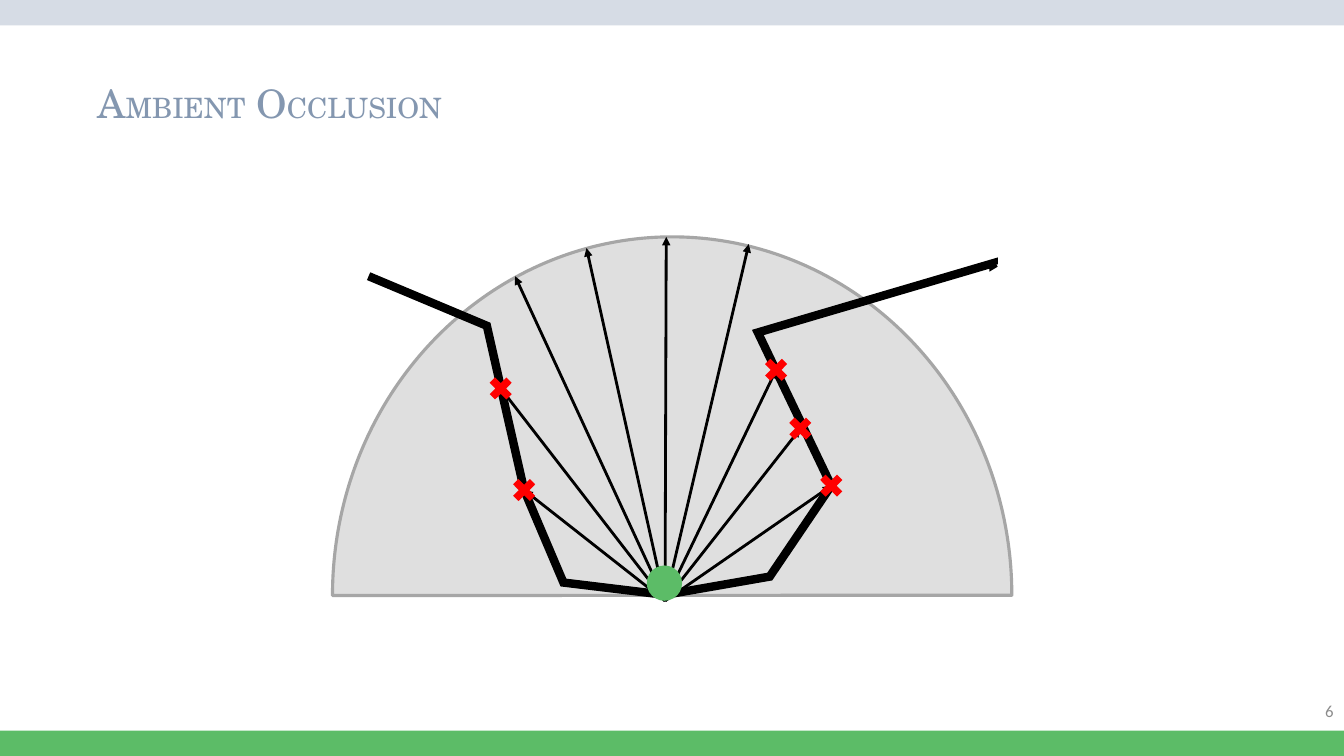
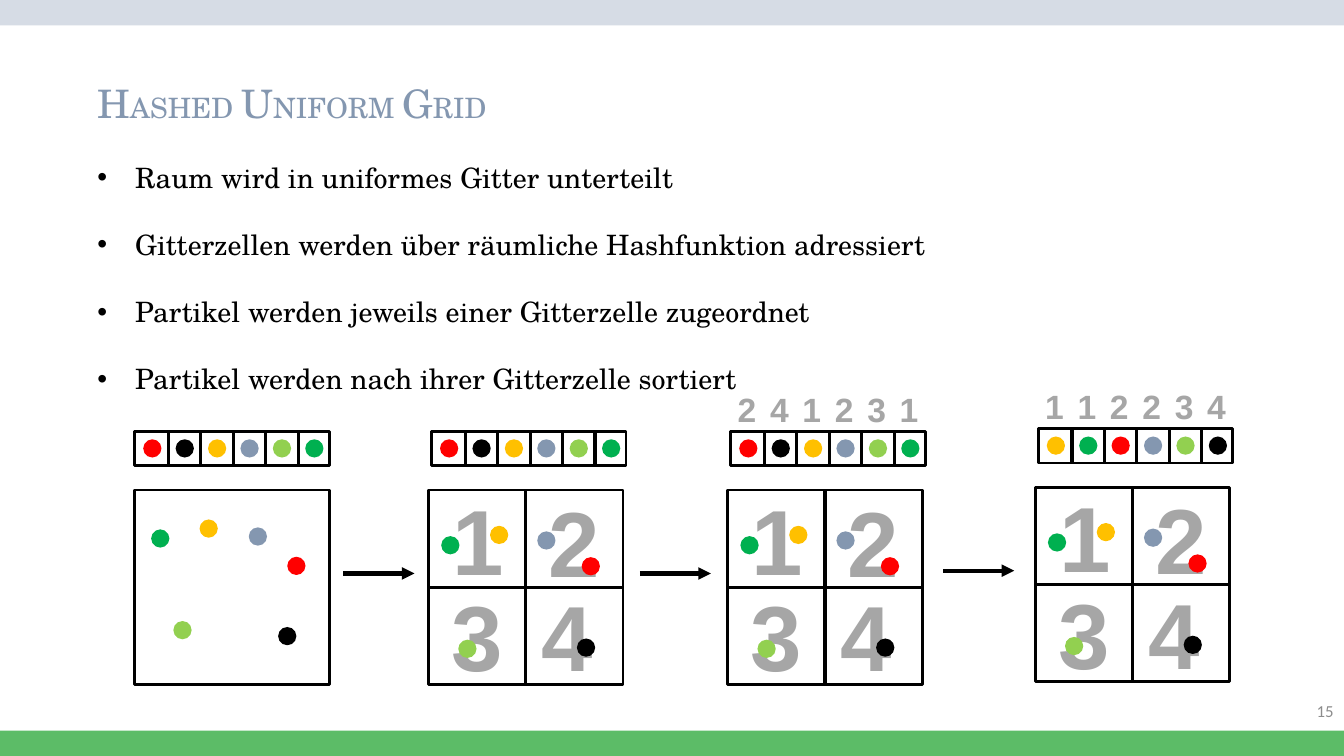
from dataclasses import dataclass

from lxml import etree
from pptx import Presentation
from pptx.dml.color import RGBColor as Rgb
from pptx.enum.shapes import MSO_CONNECTOR as Connector, MSO_SHAPE as Preset
from pptx.enum.text import MSO_ANCHOR as Anchor, MSO_AUTO_SIZE as AutoSize, PP_ALIGN as Align
from pptx.oxml.ns import qn
from pptx.util import Cm, Pt


@dataclass(frozen=True)
class Theme:
    # Colours
    top_band: str = "D6DCE5"
    green: str = "5CBC67"
    title: str = "8497B0"
    ink: str = "000000"
    grey: str = "A6A6A6"
    page_number: str = "8C8C8C"
    hit: str = "FF0000"
    # Fonts
    serif: str = "TeX Gyre Schola"
    digits: str = "Arial"
    sans: str = "Calibri"
    # Type sizes in points
    capital: int = 28
    text: int = 20
    number: int = 12
    cell_digit: int = 66
    hash_digit: int = 24
    # Line widths in points
    ray: float = 2
    grid: float = 2.25
    arrow: float = 3
    surface: float = 6


@dataclass(frozen=True)
class Box:
    """A region of the page, in centimetres."""
    left: float
    top: float
    width: float
    height: float

    def inner(self, x, y, width, height):
        return Box(self.left + x, self.top + y, width, height)

    def point(self, x, y):
        return Cm(self.left + x), Cm(self.top + y)

    @property
    def lengths(self):
        return [Cm(value) for value in (self.left, self.top, self.width, self.height)]


THEME = Theme()
PAGE = Box(0, 0, 33.87, 19.05)
BAND_HEIGHT = 0.64
TITLE = Box(2.2, 1.88, 30.4, 1.6)
BODY = Box(2.2, 3.91, 30.4, 7.1)
NUMBER = Box(26.24, 17.4, 7.62, 1.02)

# Particles: colours and their places in the square
BALL = 0.46
BALL_COLORS = {"red": "FF0000", "black": "000000", "yellow": "FFC000",
               "blue": "8497B0", "lime": "92D050", "green": "00B050"}
UNSORTED = ["red", "black", "yellow", "blue", "lime", "green"]
SORTED = ["yellow", "green", "red", "blue", "lime", "black"]
FREE_PLACES = {"green": (0.41, 0.99), "yellow": (1.63, 0.74), "black": (3.61, 3.45),
               "red": (3.84, 1.68), "blue": (2.87, 0.94), "lime": (0.97, 3.3)}
GRID_PLACES = {"green": (0.32, 1.16), "yellow": (1.55, 0.9), "black": (3.74, 3.74),
               "red": (3.86, 1.69), "blue": (2.74, 1.04), "lime": (0.75, 3.77)}
CELL_DIGITS = {"1": (0.35, -0.3), "2": (2.78, -0.25), "3": (0.33, 2.13), "4": (2.6, 2.13)}

# Ambient occlusion: points measured from the corner of the dome
SURFACE = [(0.91, 0.99), (3.89, 2.24), (4.83, 6.38), (5.82, 8.71), (8.38, 9.02),
           (11.02, 8.56), (12.57, 6.27), (10.72, 2.41), (16.66, 0.66), (16.66, 0.69),
           (16.71, 0.66)]
RAY_START = (8.38, 9.17)
OPEN_RAYS = [(4.6, 0.99), (6.4, 0.28), (8.41, 0), (10.49, 0.18)]
HITS = [(11.18, 3.35), (11.79, 4.83), (12.57, 6.27), (4.83, 6.38), (4.24, 3.82)]


# Basic parts
def add_run(para, text, size, color, font, bold=False):
    run = para.add_run()
    run.text = text
    run.font.size = Pt(size)
    run.font.name = font
    run.font.bold = bold
    run.font.color.rgb = Rgb.from_string(color)


def draw_outline(shape, color, width):
    shape.line.color.rgb = Rgb.from_string(color)
    shape.line.width = Pt(width)


def add_preset(shapes, preset, box, fill=None, line=None, width=THEME.ray):
    shape = shapes.add_shape(preset, *box.lengths)
    shape.shadow.inherit = False
    if fill:
        shape.fill.solid()
        shape.fill.fore_color.rgb = Rgb.from_string(fill)
    else:
        shape.fill.background()
    if line:
        draw_outline(shape, line, width)
    else:
        shape.line.fill.background()
    return shape


def add_line(shapes, start, end, width, arrow=False):
    line = shapes.add_connector(Connector.STRAIGHT, *start, *end)
    draw_outline(line, THEME.ink, width)
    properties = line.element.spPr
    if arrow:
        etree.SubElement(properties.find(qn("a:ln")), qn("a:tailEnd"), type="triangle")
    etree.SubElement(properties, qn("a:effectLst"))


def add_label(shapes, box, text, size, color, font, bold=False, align=Align.LEFT,
              anchor=Anchor.TOP):
    frame = shapes.add_textbox(*box.lengths).text_frame
    frame.word_wrap = True
    frame.vertical_anchor = anchor
    para = frame.paragraphs[0]
    para.alignment = align
    add_run(para, text, size, color, font, bold)


def add_ball(shapes, box, x, y, name):
    add_preset(shapes, Preset.OVAL, box.inner(x, y, BALL, BALL), BALL_COLORS[name])


# Shared page parts
def place_placeholder(holder, box):
    holder.left, holder.top, holder.width, holder.height = box.lengths
    frame = holder.text_frame
    frame.auto_size = AutoSize.NONE
    frame.word_wrap = True
    frame.vertical_anchor = Anchor.TOP
    return frame


def add_page(deck, layout, title, number):
    page = deck.slides.add_slide(deck.slide_layouts.get_by_name(layout))
    para = place_placeholder(page.shapes.title, TITLE).paragraphs[0]
    para.alignment = Align.LEFT
    for capital, rest in title:
        add_run(para, capital, THEME.capital, THEME.title, THEME.serif)
        add_run(para, rest, THEME.text, THEME.title, THEME.serif)
    add_label(page.shapes, NUMBER, number, THEME.number, THEME.page_number, THEME.sans,
              align=Align.RIGHT, anchor=Anchor.MIDDLE)
    return page


def add_master_bands(deck, page):
    """Draw the two bands and move them to the back of the slide master."""
    tree = deck.slide_master.shapes.element
    bands = [(0, THEME.top_band), (PAGE.height - BAND_HEIGHT, THEME.green)]
    for index, (top, color) in enumerate(bands):
        box = PAGE.inner(0, top, PAGE.width, BAND_HEIGHT)
        band = add_preset(page.shapes, Preset.RECTANGLE, box, color).element
        band.nvSpPr.cNvPr.set("id", str(100 + index))
        tree.insert(2 + index, band)


def fill_bullets(page, box, lines):
    frame = place_placeholder(page.placeholders[1], box)
    for index, text in enumerate(lines):
        para = frame.add_paragraph() if index else frame.paragraphs[0]
        para.space_before = Pt(24 if index else 0)
        add_run(para, text, THEME.text, THEME.ink, THEME.serif)


# Ambient occlusion drawing
def draw_occlusion(page, dome):
    shapes = page.shapes.add_group_shape().shapes

    # Half sphere
    sphere = add_preset(shapes, Preset.CHORD, dome, THEME.grey, THEME.grey, THEME.grid)
    sphere.adjustments[0], sphere.adjustments[1] = 107.965, 215.998
    color = sphere.element.spPr.find(qn("a:solidFill"))[0]
    etree.SubElement(color, qn("a:alpha"), val="35000")

    # Surface
    points = [dome.point(*place) for place in SURFACE]
    builder = shapes.build_freeform(*points[0])
    builder.add_line_segments(points[1:], close=False)
    surface = builder.convert_to_shape()
    surface.shadow.inherit = False
    surface.fill.background()
    draw_outline(surface, THEME.ink, THEME.surface)
    etree.SubElement(surface.element.spPr.find(qn("a:ln")), qn("a:miter"), lim="800000")

    # Rays, hits and the shaded point
    for target in OPEN_RAYS + HITS:
        add_line(shapes, dome.point(*RAY_START), dome.point(*target), THEME.ray, arrow=True)
    cross = 0.81
    for x, y in HITS:
        box = dome.inner(x - cross / 2, y - cross / 2, cross, cross)
        add_preset(shapes, Preset.MATH_MULTIPLY, box, THEME.hit)
    add_preset(shapes, Preset.OVAL, dome.inner(7.92, 8.28, 0.89, 0.89), THEME.green)


# Hashed grid drawing
def draw_strip(page, box, order, hashes=""):
    """Draw the particle array with the optional cell number over each entry."""
    shapes = page.shapes
    pitch = box.width / len(order)
    add_preset(shapes, Preset.RECTANGLE, box, line=THEME.ink)
    for index, name in enumerate(order):
        x = index * pitch
        if index:
            add_line(shapes, box.point(x + 0.03, 0), box.point(x + 0.03, box.height), THEME.grid)
        add_ball(shapes, box, x + 0.21, 0.2, name)
    for index, digit in enumerate(hashes):
        label = box.inner(index * pitch - 0.08, -1.19, 0.89, 1.32)
        add_label(shapes, label, digit, THEME.hash_digit, THEME.grey, THEME.digits, bold=True)


def draw_square(page, box, divided):
    """Draw the space with its particles, divided into numbered cells or not."""
    shapes = page.shapes
    if divided:
        for digit, place in CELL_DIGITS.items():
            add_label(shapes, box.inner(*place, 2.24, 3.07), digit, THEME.cell_digit,
                      THEME.grey, THEME.digits, bold=True)
        middle = box.width / 2
        add_line(shapes, box.point(middle, 0), box.point(middle, box.height), THEME.grid)
        add_line(shapes, box.point(0, middle), box.point(box.width, middle), THEME.grid)
    add_preset(shapes, Preset.RECTANGLE, box, line=THEME.ink)
    for name, place in (GRID_PLACES if divided else FREE_PLACES).items():
        add_ball(shapes, box, *place, name)


def draw_step_arrow(page, before, after):
    """Centre an arrow in the gap between two squares."""
    length = 1.79
    gap = after.left - before.left - before.width
    start = -(gap + length) / 2
    add_line(page.shapes, after.point(start, 2.1), after.point(start + length, 2.1),
             THEME.arrow, arrow=True)


def draw_grid_steps(page):
    side = 4.9
    steps = [(3.4, 12.35, False, UNSORTED, ""), (10.8, 12.35, True, UNSORTED, ""),
             (18.34, 12.35, True, UNSORTED, "241231"), (26.09, 12.28, True, SORTED, "112234")]
    before = None
    for left, top, divided, order, hashes in steps:
        square = Box(left, top, side, side)
        draw_square(page, square, divided)
        draw_strip(page, square.inner(0.08 if divided else 0, -1.48, side, 0.87), order, hashes)
        if before:
            draw_step_arrow(page, before, square)
        before = square


def main():
    deck = Presentation()
    deck.slide_width, deck.slide_height = PAGE.lengths[2:]

    page = add_page(deck, "Title Only", [("A", "MBIENT"), (" O", "CCLUSION")], "6")
    add_master_bands(deck, page)
    draw_occlusion(page, Box(8.38, 5.97, 17.12, 18.06))

    page = add_page(deck, "Title and Content",
                    [("H", "ASHED "), ("U", "NIFORM "), ("G", "RID")], "15")
    fill_bullets(page, BODY, [
        "Raum wird in uniformes Gitter unterteilt",
        "Gitterzellen werden über räumliche Hashfunktion adressiert",
        "Partikel werden jeweils einer Gitterzelle zugeordnet",
        "Partikel werden nach ihrer Gitterzelle sortiert",
    ])
    draw_grid_steps(page)
    deck.save("out.pptx")


if __name__ == "__main__":
    main()
